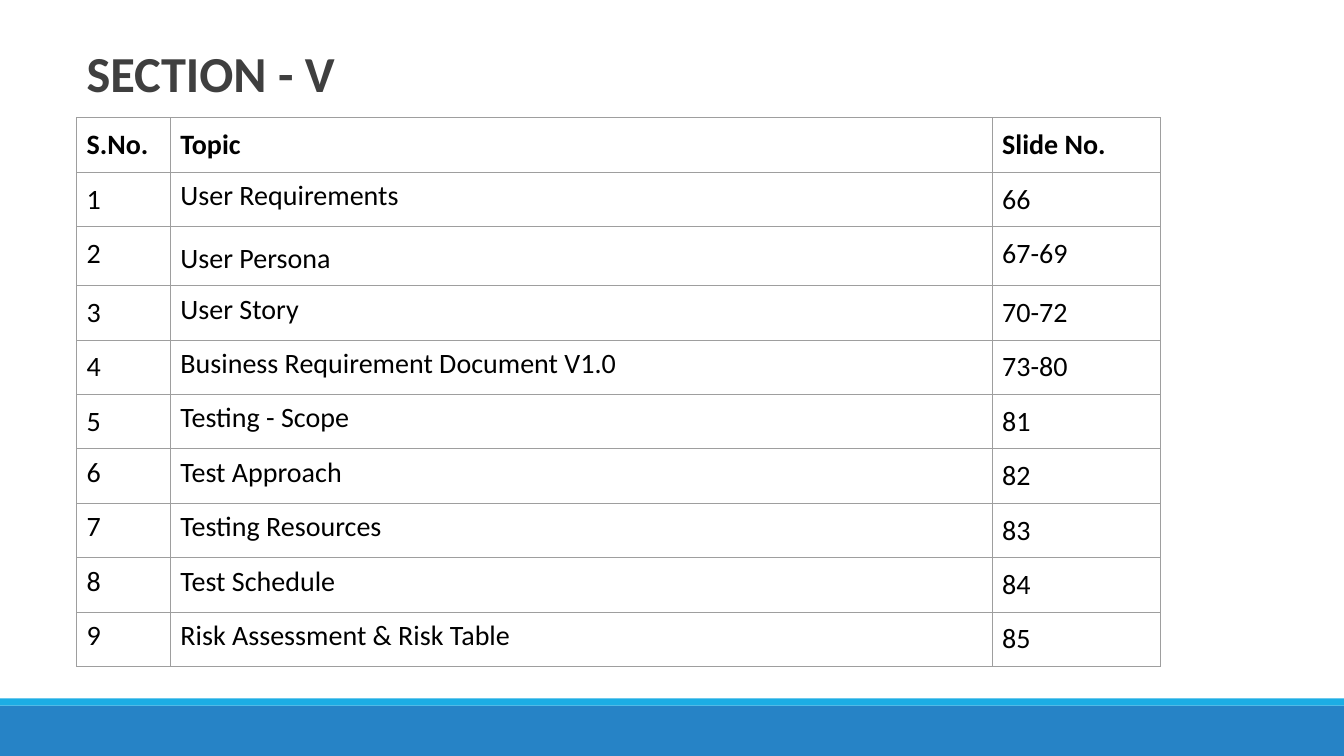
"""Build the Section V contents slide."""
from dataclasses import dataclass

from lxml.etree import SubElement as Sub
from pptx import Presentation as Deck
from pptx.dml.color import RGBColor as Rgb
from pptx.enum.shapes import MSO_SHAPE as Kind
from pptx.enum.text import MSO_ANCHOR as Anchor
from pptx.oxml.ns import qn
from pptx.util import Inches, Pt

HUES = {"band": "2683C6", "strip": "1CADE4", "title": "3F3F3F",
        "text": "000000", "grid": "9E9E9E"}
FONT = "Calibri"
WIDE = 13.33
TIGHT = 0.85
COLS = (0.93, 8.15, 1.67)
ROW = 0.54
HEADS = ("S.No.", "Topic", "Slide No.")


@dataclass
class Bar:
    top: float
    high: float
    hue: str


@dataclass
class Topic:
    name: str
    pages: str
    lead: float = TIGHT


BARS = (Bar(7, 0.5, "band"), Bar(6.93, 0.07, "strip"))
TOPICS = (
    Topic("User Requirements", "66"),
    Topic("User Persona", "67-69", 1.15),
    Topic("User Story", "70-72"),
    Topic("Business Requirement Document V1.0", "73-80"),
    Topic("Testing - Scope", "81"),
    Topic("Test Approach", "82"),
    Topic("Testing Resources", "83"),
    Topic("Test Schedule", "84"),
    Topic("Risk Assessment & Risk Table", "85"),
)


def write(frame, text: str, size: int, hue: str, bold: bool, lead: float) -> None:
    para = frame.paragraphs[0]
    para.line_spacing = lead
    run = para.add_run()
    run.text = text
    font = run.font
    font.name, font.size, font.bold = FONT, Pt(size), bold
    font.color.rgb = Rgb.from_string(HUES[hue])


def add_bar(slide, bar: Bar) -> None:
    shape = slide.shapes.add_shape(Kind.RECTANGLE, 0, Inches(bar.top),
                                   Inches(WIDE), Inches(bar.high))
    shape.shadow.inherit = False
    shape.fill.solid()
    shape.fill.fore_color.rgb = Rgb.from_string(HUES[bar.hue])
    shape.line.fill.background()


def add_title(slide, text: str) -> None:
    box = slide.shapes.add_textbox(Inches(0.76), Inches(0.39),
                                   Inches(3.12), Inches(0.68))
    frame = box.text_frame
    frame.word_wrap = True
    frame.vertical_anchor = Anchor.BOTTOM
    write(frame, text, 36, "title", True, TIGHT)


def fill_cell(cell, text: str, bold: bool, lead: float) -> None:
    cell.margin_left = cell.margin_right = Inches(0.1)
    cell.margin_top = cell.margin_bottom = Inches(0.1)
    write(cell.text_frame, text, 20, "text", bold, lead)
    props = cell._tc.get_or_add_tcPr()
    for side in ("lnL", "lnR", "lnT", "lnB"):
        line = Sub(props, qn(f"a:{side}"), w=str(Pt(0.75)))
        Sub(Sub(line, qn("a:solidFill")), qn("a:srgbClr"), val=HUES["grid"])
    cell.fill.background()


def add_grid(slide) -> None:
    count = len(TOPICS) + 1
    grid = slide.shapes.add_table(count, len(COLS), Inches(0.76), Inches(1.17),
                                  Inches(sum(COLS)), Inches(ROW * count)).table
    grid.first_row = grid.horz_banding = False
    for col, width in zip(grid.columns, COLS):
        col.width = Inches(width)
    for row in grid.rows:
        row.height = Inches(ROW)
    for col, head in enumerate(HEADS):
        fill_cell(grid.cell(0, col), head, True, 1.0)
    for num, topic in enumerate(TOPICS, 1):
        fill_cell(grid.cell(num, 0), str(num), False, TIGHT if num > 5 else 1.0)
        fill_cell(grid.cell(num, 1), topic.name, False, topic.lead)
        fill_cell(grid.cell(num, 2), topic.pages, False, 1.0)


def main() -> None:
    deck = Deck()
    deck.slide_width, deck.slide_height = Inches(WIDE), Inches(7.5)
    slide = deck.slides.add_slide(deck.slide_layouts[6])
    for bar in BARS:
        add_bar(slide, bar)
    add_title(slide, "SECTION - V")
    add_grid(slide)
    deck.save("out.pptx")


if __name__ == "__main__":
    main()
